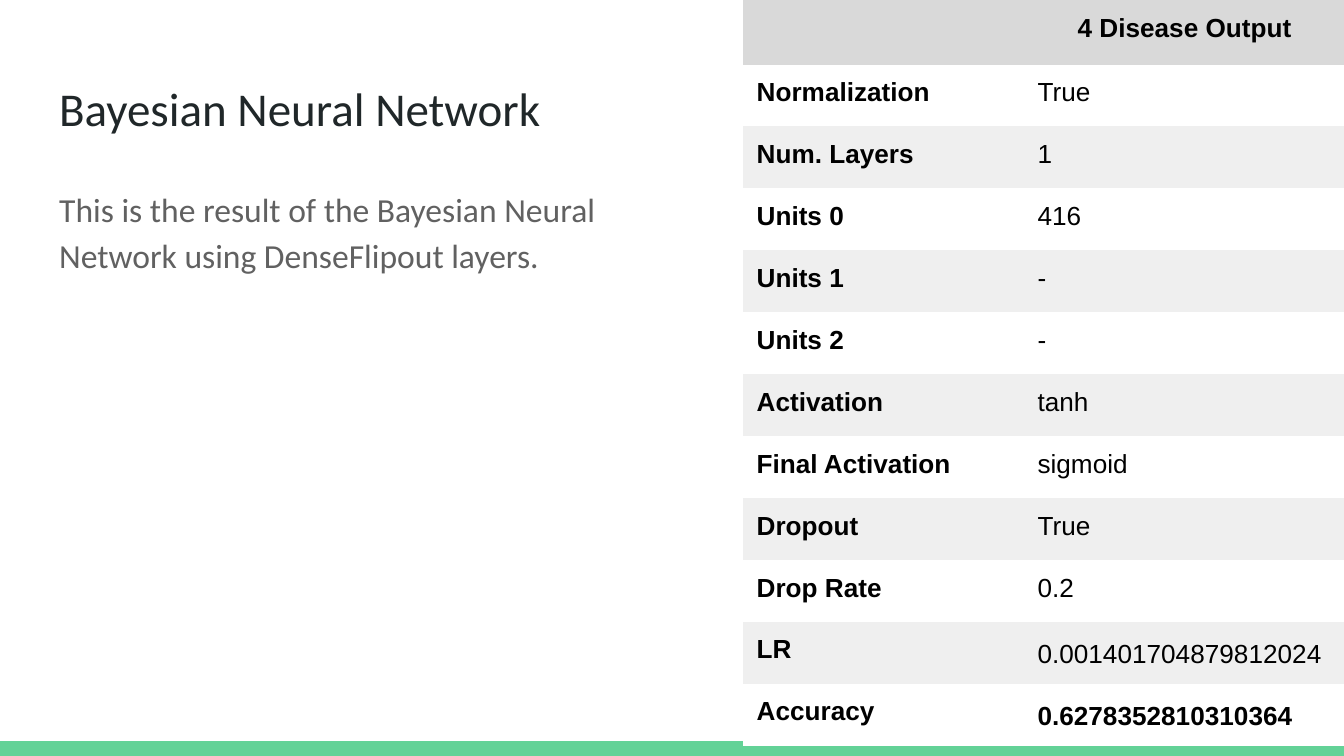
from lxml.etree import SubElement
from pptx import Presentation
from pptx.dml.color import RGBColor
from pptx.enum.shapes import MSO_SHAPE
from pptx.enum.text import MSO_ANCHOR, MSO_AUTO_SIZE, PP_ALIGN
from pptx.oxml.ns import qn
from pptx.util import Inches, Pt

# Content
TITLE = "Bayesian Neural Network"
BODY = ("This is the result of the Bayesian Neural Network "
        "using DenseFlipout layers.")
ROWS = [
    ("", "4 Disease Output"),
    ("Normalization", "True"),
    ("Num. Layers", "1"),
    ("Units 0", "416"),
    ("Units 1", "-"),
    ("Units 2", "-"),
    ("Activation", "tanh"),
    ("Final Activation", "sigmoid"),
    ("Dropout", "True"),
    ("Drop Rate", "0.2"),
    ("LR", "0.001401704879812024"),
    ("Accuracy", "0.6278352810310364"),
]
LOOSE = ("LR", "Accuracy")  # rows whose value has wider line spacing

# Theme
THEME = {
    "title": ("Calibri", 25.2, "202729"),
    "body": ("Calibri", 18, "616161"),
    "cell": ("Arial", 14, "000000"),
    "band": "63D297",
    "head": "D9D9D9",
    "stripes": ("EFEFEF", "FFFFFF"),  # even rows, odd rows
}
PLAIN = "{2D5ABB26-0587-4C30-8999-92F81FD0307C}"  # table style without grid

# Layout
WIDE = 10
HIGH = WIDE * 9 / 16
BAND = 0.11
LEFT, COLS = 5.53, (2.09, 2.39)
TALL, HEAD = 5.55, 0.48
STEP = (TALL - HEAD) / (len(ROWS) - 1)
PAD = Inches(0.1)


def paint(part, color):
    part.fill.solid()
    part.fill.fore_color.rgb = RGBColor.from_string(color)


def style(run, kind, bold=False):
    name, size, color = THEME[kind]
    run.font.name, run.font.size, run.font.bold = name, Pt(size), bold
    run.font.color.rgb = RGBColor.from_string(color)


def pad(part):
    part.margin_left = part.margin_right = PAD
    part.margin_top = part.margin_bottom = PAD


def fill_holder(shape, text, kind, box):
    shape.left, shape.top, shape.width, shape.height = map(Inches, box)
    frame = shape.text_frame
    frame.text = text
    frame.word_wrap = True
    frame.auto_size = MSO_AUTO_SIZE.NONE
    frame.vertical_anchor = MSO_ANCHOR.TOP
    pad(frame)
    para = frame.paragraphs[0]
    para.alignment = PP_ALIGN.LEFT
    para.line_spacing = 1.0
    para.space_before = Pt(0)
    style(para.runs[0], kind)
    return para


deck = Presentation()
deck.slide_width, deck.slide_height = Inches(WIDE), Inches(HIGH)
slide = deck.slides.add_slide(deck.slide_layouts[1])

# Bottom band
band = slide.shapes.add_shape(
    MSO_SHAPE.RECTANGLE, 0, Inches(HIGH - BAND), Inches(WIDE), Inches(BAND))
band.shadow.inherit = False
band.line.fill.background()
paint(band, THEME["band"])

# Title and body
fill_holder(slide.shapes.title, TITLE, "title", (0.34, 0.49, 9.32, 0.63))
para = fill_holder(slide.placeholders[1], BODY, "body",
                   (0.34, 1.26, 4.76, 3.74))
para.line_spacing = 1.15
para.space_after = Pt(12)
props = para._p.get_or_add_pPr()
props.set("marL", "0")
props.set("indent", "0")
SubElement(props, qn("a:buNone"))

# Result table
table = slide.shapes.add_table(
    len(ROWS), len(COLS), Inches(LEFT), 0,
    Inches(sum(COLS)), Inches(TALL)).table
table._tbl.tblPr.find(qn("a:tableStyleId")).text = PLAIN
for col, width in zip(table.columns, COLS):
    col.width = Inches(width)
for r, row in enumerate(ROWS):
    table.rows[r].height = Inches(STEP if r else HEAD)
    for c, text in enumerate(row):
        cell = table.cell(r, c)
        paint(cell, THEME["stripes"][r % 2] if r else THEME["head"])
        pad(cell)
        para = cell.text_frame.paragraphs[0]
        run = para.add_run()
        run.text = text
        style(run, "cell", bold=c == 0 or r in (0, len(ROWS) - 1))
        if r == 0:
            para.alignment = PP_ALIGN.CENTER
        if c == 1 and row[0] in LOOSE:
            para.line_spacing = 1.15

deck.save("out.pptx")
